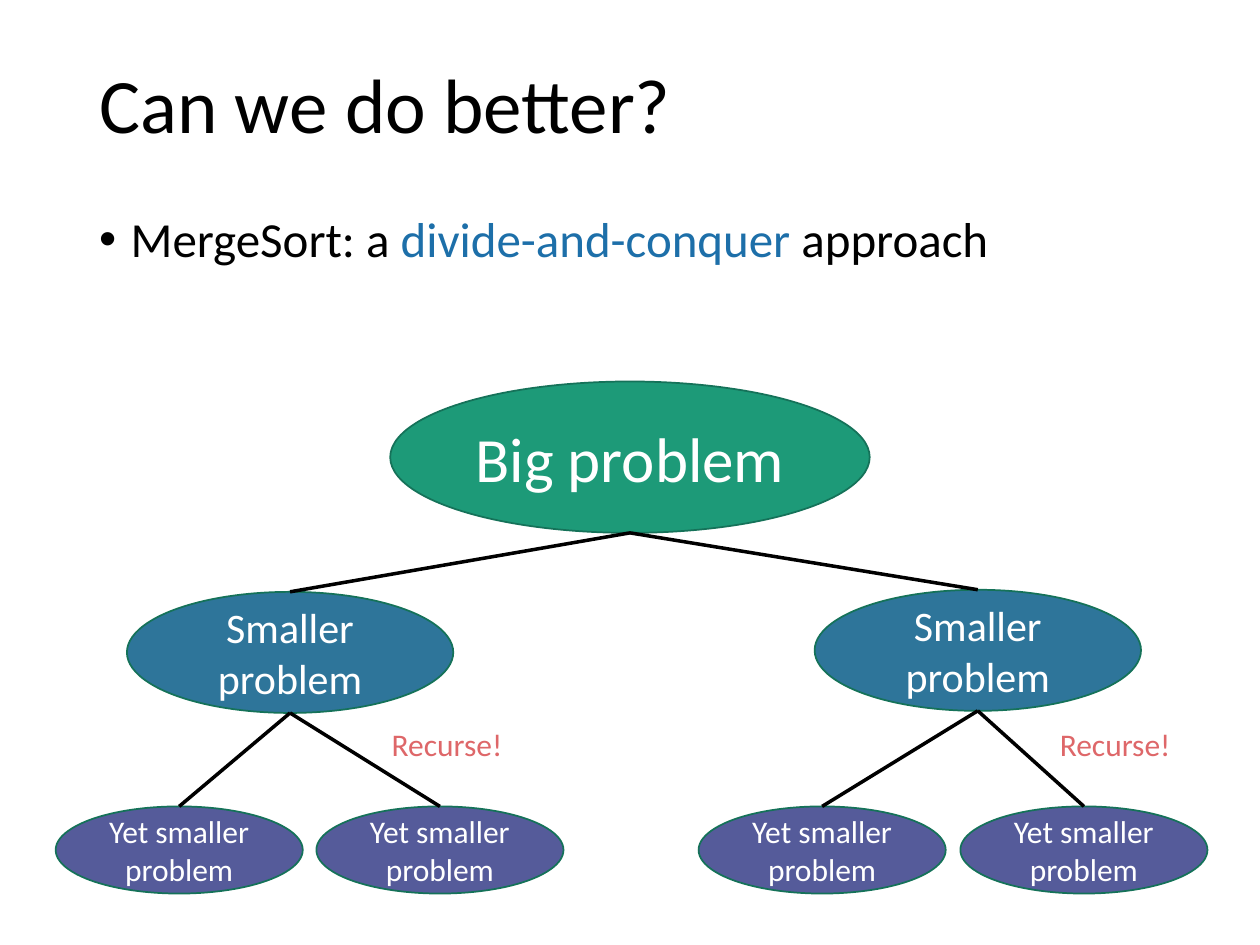
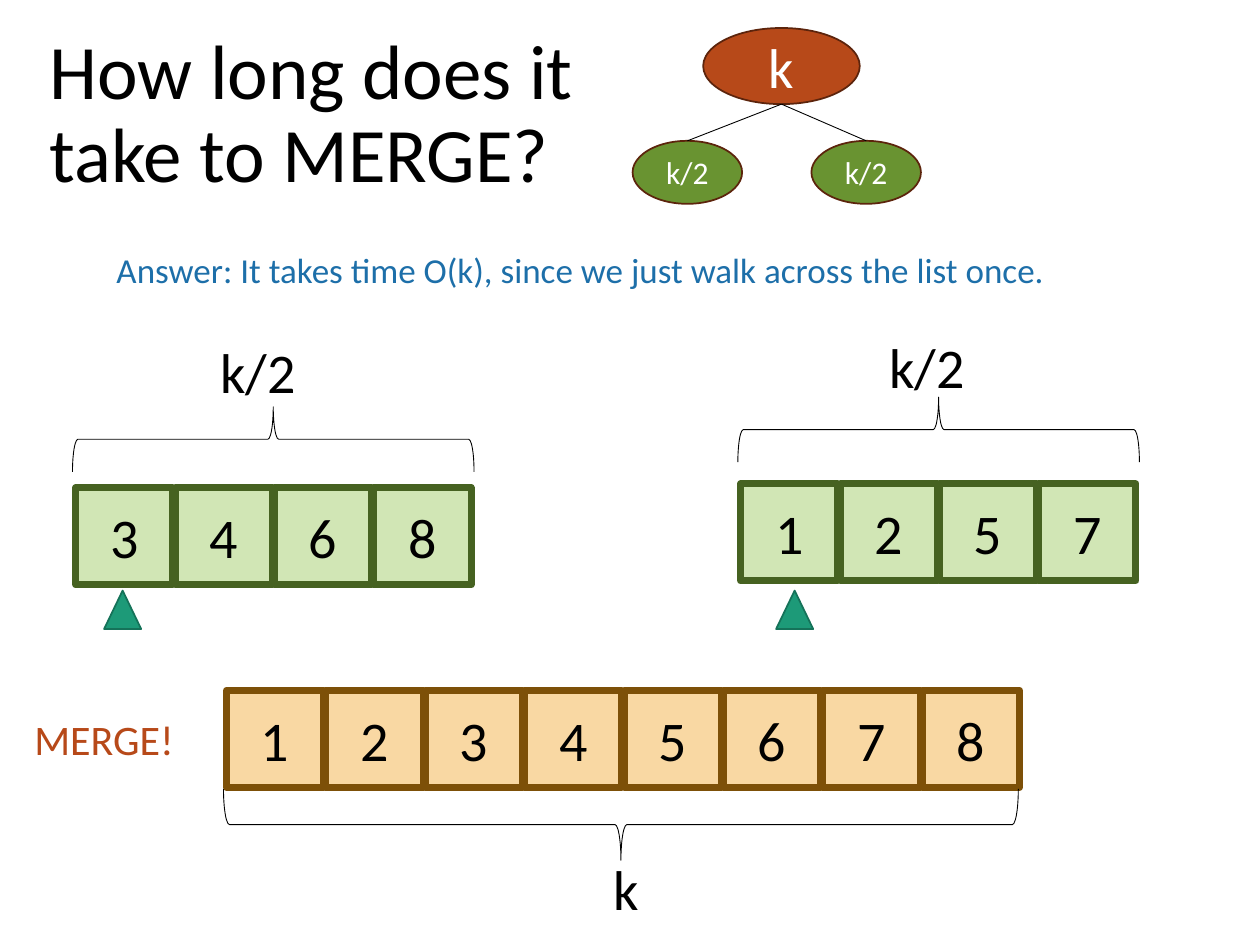
"""Build two slides on the MergeSort recursion and its merge step."""
from lxml.etree import SubElement
from pptx import Presentation
from pptx.dml.color import RGBColor
from pptx.enum.shapes import MSO_CONNECTOR, MSO_SHAPE
from pptx.enum.text import MSO_ANCHOR, MSO_AUTO_SIZE, PP_ALIGN
from pptx.oxml.ns import qn
from pptx.util import Pt

FONT = "Calibri"
COLOURS = {
    "black": "000000",
    "white": "FFFFFF",
    "accent": "1D6FA9",
    "recurse": "DE6769",
    "big": "1D9A78",
    "big_edge": "157259",
    "smaller": "2E759A",
    "yet_smaller": "555B9A",
    "whole": "B74919",
    "whole_edge": "5C240C",
    "half": "699331",
    "sorted_half": "D1E6B5",
    "sorted_half_edge": "466221",
    "merged": "F9D8A3",
    "merged_edge": "7D5008",
}
CELL_SIZE = 55.5
CELL_PITCH = 56.8


def colour(name):
    return RGBColor.from_string(COLOURS[name])


def format_spans(paragraph, size, colour_name):
    for span in paragraph.runs:
        span.font.name = FONT
        span.font.size = Pt(size)
        span.font.color.rgb = colour(colour_name)


def place(box, left, top, width, height):
    box.left, box.top, box.width, box.height = map(Pt, (left, top, width, height))


def add_page(deck, layout_index, title, frame):
    page = deck.slides.add_slide(deck.slide_layouts[layout_index])
    box = page.shapes.title
    place(box, *frame)
    box.text_frame.text = title
    box.text_frame.auto_size = MSO_AUTO_SIZE.NONE
    box.text_frame.vertical_anchor = MSO_ANCHOR.MIDDLE
    paragraph = box.text_frame.paragraphs[0]
    paragraph.alignment = PP_ALIGN.LEFT
    paragraph.line_spacing = 0.9
    format_spans(paragraph, 44, "black")
    return page


def fill_bullet(box, frame, spans):
    place(box, *frame)
    box.text_frame.auto_size = MSO_AUTO_SIZE.NONE
    paragraph = box.text_frame.paragraphs[0]
    paragraph.line_spacing = 0.9
    paragraph.space_before = Pt(10)
    properties = paragraph._p.get_or_add_pPr()
    properties.set("marL", str(Pt(18)))
    properties.set("indent", str(-Pt(18)))
    for words, colour_name in spans:
        span = paragraph.add_run()
        span.text = words
        span.font.name = FONT
        span.font.size = Pt(28)
        span.font.color.rgb = colour(colour_name)


def add_label(page, words, frame, size, colour_name, wrap=True):
    box = page.shapes.add_textbox(*map(Pt, frame))
    box.text_frame.text = words
    box.text_frame.word_wrap = wrap
    box.text_frame.auto_size = MSO_AUTO_SIZE.SHAPE_TO_FIT_TEXT
    format_spans(box.text_frame.paragraphs[0], size, colour_name)


def add_figure(page, kind, frame, fill, edge, edge_width=1):
    figure = page.shapes.add_shape(kind, *map(Pt, frame))
    figure.shadow.inherit = False
    figure.fill.solid()
    figure.fill.fore_color.rgb = colour(fill)
    figure.line.color.rgb = colour(edge)
    figure.line.width = Pt(edge_width)
    return figure


def write_centred(figure, words, size, colour_name):
    figure.text_frame.text = words
    figure.text_frame.vertical_anchor = MSO_ANCHOR.MIDDLE
    paragraph = figure.text_frame.paragraphs[0]
    paragraph.alignment = PP_ALIGN.CENTER
    format_spans(paragraph, size, colour_name)


def add_node(page, words, frame, fill, edge, size):
    node = add_figure(page, MSO_SHAPE.OVAL, frame, fill, edge)
    write_centred(node, words, size, "white")
    return node


def link(page, parent, child, width):
    line = page.shapes.add_connector(
        MSO_CONNECTOR.STRAIGHT,
        parent.left + parent.width // 2, parent.top + parent.height,
        child.left + child.width // 2, child.top)
    line.line.color.rgb = colour("black")
    line.line.width = Pt(width)
    SubElement(line._element.spPr, qn("a:effectLst"))


def add_array(page, values, left, top, style):
    for index, value in enumerate(values):
        frame = (left + index * CELL_PITCH, top, CELL_SIZE, CELL_SIZE)
        cell = add_figure(page, MSO_SHAPE.RECTANGLE, frame, style, style + "_edge", 4)
        write_centred(cell, str(value), 32, "black")


def add_brace(page, centre_x, centre_y, span, depth, rotation):
    frame = (centre_x - depth / 2, centre_y - span / 2, depth, span)
    brace = page.shapes.add_shape(MSO_SHAPE.RIGHT_BRACE, *map(Pt, frame))
    brace.rotation = rotation
    brace.shadow.inherit = False
    brace.fill.background()
    brace.line.color.rgb = colour("black")
    brace.line.width = Pt(0.5)


def build_recursion(deck):
    page = add_page(deck, 1, "Can we do better?", (49.5, 29, 621, 66))
    fill_bullet(page.placeholders[1], (49.5, 119.5, 621, 90), [
        ("MergeSort: a ", "black"),
        ("divide-and-conquer", "accent"),
        (" approach", "black"),
    ])
    big = add_node(page, "Big problem", (223, 218, 274, 86.5), "big", "big_edge", 36)
    branches = [
        (72.5, 338.2, (31.8, 180.8), 216.7),
        (465.5, 337, (399.2, 548.8), 598.5),
    ]
    for left, top, child_lefts, label_left in branches:
        smaller = add_node(page, "Smaller problem", (left, top, 186.5, 69.2),
                           "smaller", "big_edge", 24)
        link(page, big, smaller, 2)
        for child_left in child_lefts:
            child = add_node(page, "Yet smaller problem", (child_left, 460.8, 141.2, 49.8),
                             "yet_smaller", "big_edge", 18)
            link(page, smaller, child, 2)
        add_label(page, "Recurse!", (label_left, 411, 78.5, 29), 18, "recurse", wrap=False)


def build_merge(deck):
    page = add_page(deck, 5, "How long does it take to MERGE?", (21, 0, 386.5, 132.5))
    whole = add_node(page, "k", (401.8, 16, 89.5, 43.5), "whole", "whole_edge", 32)
    for left in (361.5, 463.7):
        half = add_node(page, "k/2", (left, 80.5, 62.6, 36), "half", "whole_edge", 18)
        link(page, whole, half, 0.5)
    add_label(page, "Answer: It takes time O(k), since we just walk across the list once.",
              (59.5, 138.2, 590.5, 31.5), 20, "accent")

    halves = [
        ((3, 4, 6, 8), 43.3, 278.7, 59.5, (118.8, 189.4), (156.2, 251)),
        ((1, 2, 5, 7), 423.3, 276.5, 443.5, (501.2, 186.2), (536.4, 245.5)),
    ]
    for values, left, top, pointer_left, label_corner, brace_centre in halves:
        add_array(page, values, left, top, "sorted_half")
        add_figure(page, MSO_SHAPE.ISOSCELES_TRIANGLE, (pointer_left, 337.5, 21.2, 22),
                   "big", "big_edge")
        add_label(page, "k/2", (*label_corner, 75.5, 46), 32, "black")
        add_brace(page, *brace_centre, 229.5, 37.2, 270)

    add_array(page, range(1, 9), 129.5, 394.5, "merged")
    add_label(page, "MERGE!", (12.5, 404, 109.5, 36.4), 24, "whole")
    add_brace(page, 354.8, 471.2, 454.2, 40.8, 90)
    add_label(page, "k", (343.4, 485, 75.5, 46), 32, "black")


def main():
    deck = Presentation()
    deck.slide_width, deck.slide_height = Pt(720), Pt(540)
    build_recursion(deck)
    build_merge(deck)
    deck.save("out.pptx")


if __name__ == "__main__":
    main()
